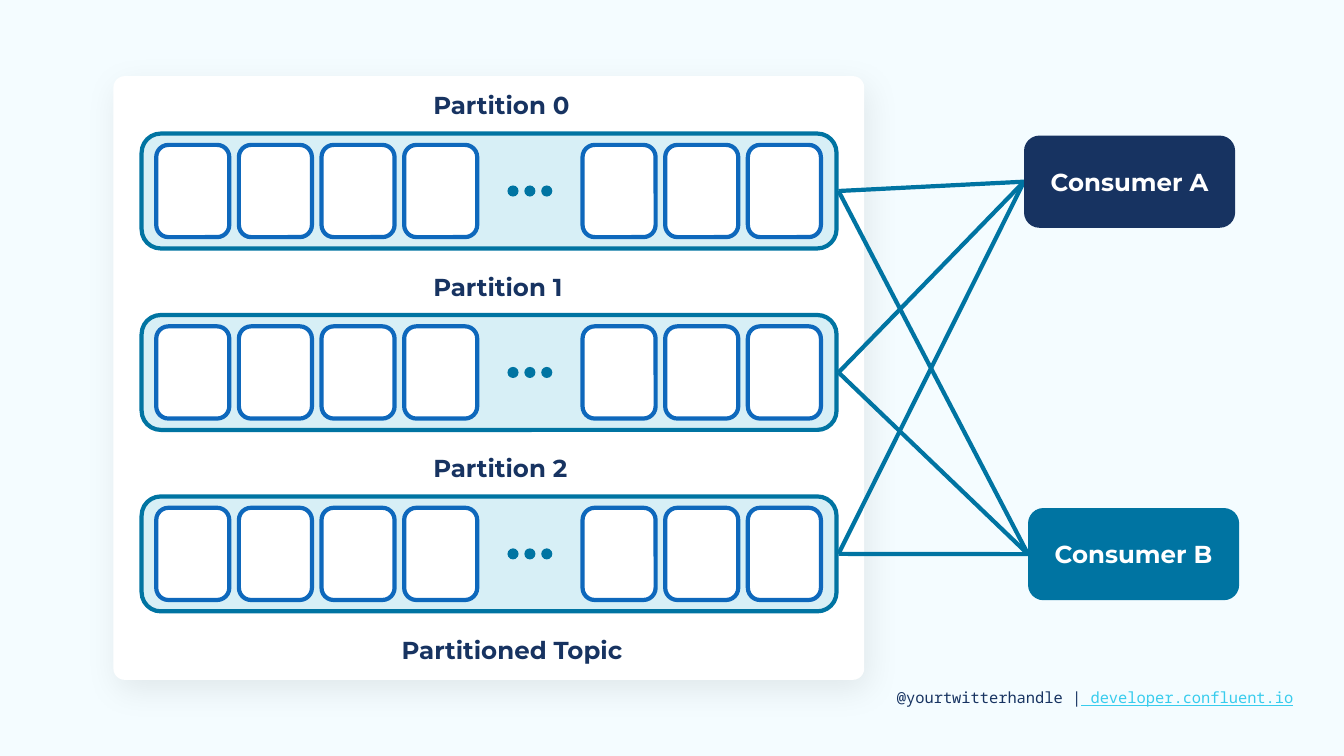
"""Build a slide of a three-partition topic read by two consumers."""
from lxml import etree
from pptx import Presentation
from pptx import util as u
from pptx.dml.color import RGBColor
from pptx.enum import shapes, text
from pptx.oxml.ns import qn

W, H = 26.67, 15
COLORS = {"bg": "F4FCFF", "white": "FFFFFF", "navy": "173361", "teal": "0074A2",
          "blue": "0E68BC", "pale": "D7EFF6", "link": "38CCED", "black": "000000"}
SANS, MONO = "Montserrat", "Noto Sans Mono"
KIND = shapes.MSO_SHAPE

PARTITIONS = [("Partition 0", 3.06), ("Partition 1", 2.86), ("Partition 2", 2.86)]
CONSUMERS = [("Consumer A", "navy", 20.32, 2.69), ("Consumer B", "teal", 20.4, 10.08)]
TOPIC = "Partitioned Topic"
FOOTER = [("@yourtwitterhandle |", "navy", False), (" developer.confluent.io", "link", True)]

PANEL = (2.25, 1.51, 14.9, 11.98)
LANE_X, LANE_Y, LANE_W, LANE_H, LANE_STEP = 2.81, 2.65, 13.79, 2.28, 3.6
CELL_W, CELL_H, CELL_STEP = 1.45, 1.83, 1.64
CELL_GROUPS = [(3.1, 4), (11.56, 3)]
DOT, DOT_X, DOT_STEP, DOTS = 0.22, 10.07, 0.335, 3
LABEL_X, LABEL_RISE, LABEL_H = 8.5, 0.96, 0.79
CONSUMER_W, HUB_X = 4.19, 16.64

prs = Presentation()
prs.slide_width, prs.slide_height = u.Inches(W), u.Inches(H)
s = prs.slides.add_slide(prs.slide_layouts[6])


def rgb(name):
    return RGBColor.from_string(COLORS[name])


def inches(*values):
    return [u.Inches(v) for v in values]


def add_shape(kind, box, fill, line=None, adj=None):
    sp = s.shapes.add_shape(kind, *inches(*box))
    sp.shadow.inherit = False
    sp.fill.solid()
    sp.fill.fore_color.rgb = rgb(fill)
    if line:
        sp.line.color.rgb = rgb(line)
        sp.line.width = u.Pt(6)
    else:
        sp.line.fill.background()
    if adj is not None:
        sp.adjustments[0] = adj
    return sp


def write(sp, runs, size=35, font=SANS, bold=True, align=text.PP_ALIGN.LEFT,
          anchor=text.MSO_ANCHOR.TOP, fit=text.MSO_AUTO_SIZE.SHAPE_TO_FIT_TEXT):
    tf = sp.text_frame
    tf.word_wrap, tf.auto_size, tf.vertical_anchor = True, fit, anchor
    tf.margin_left = tf.margin_right = tf.margin_top = tf.margin_bottom = u.Inches(0.1)
    p = tf.paragraphs[0]
    p.alignment = align
    for words, color, underline in runs:
        r = p.add_run()
        r.text = words
        r.font.size, r.font.name, r.font.bold = u.Pt(size), font, bold
        r.font.color.rgb = rgb(color)
        if underline:
            r.font.underline = True


def add_label(words, box, **style):
    write(s.shapes.add_textbox(*inches(*box)), words, **style)


def add_shadow(sp, color, alpha, blur, distance, angle):
    effects = sp._element.spPr.find(qn("a:effectLst"))
    shadow = etree.SubElement(effects, qn("a:outerShdw"), blurRad=str(u.Pt(blur)),
                              dist=str(u.Pt(distance)), dir=str(angle * 60000),
                              algn="bl", rotWithShape="0")
    tint = etree.SubElement(shadow, qn("a:srgbClr"), val=COLORS[color])
    etree.SubElement(tint, qn("a:alpha"), val=str(alpha * 1000))


def add_link(start, end):
    line = s.shapes.add_connector(shapes.MSO_CONNECTOR.STRAIGHT, *inches(*start, *end))
    line.line.color.rgb = rgb("teal")
    line.line.width = u.Pt(6)
    etree.SubElement(line._element.spPr, qn("a:effectLst"))


def add_partition(name, label_w, top):
    middle = top + LANE_H / 2
    add_shape(KIND.FLOWCHART_ALTERNATE_PROCESS, (LANE_X, top, LANE_W, LANE_H), "pale", "teal")
    for left, count in CELL_GROUPS:
        for i in range(count):
            box = (left + i * CELL_STEP, middle - CELL_H / 2, CELL_W, CELL_H)
            add_shape(KIND.ROUNDED_RECTANGLE, box, "white", "blue", 0.167)
    add_label([(name, "navy", False)], (LABEL_X, top - LABEL_RISE, label_w, LABEL_H))
    for i in range(DOTS):
        add_shape(KIND.OVAL, (DOT_X + i * DOT_STEP, middle - DOT / 2, DOT, DOT), "teal")


s.background.fill.solid()
s.background.fill.fore_color.rgb = rgb("bg")
add_label(FOOTER, (17.7, 13.56, 8.14, 0.57), size=22, font=MONO, bold=False)
panel = add_shape(KIND.ROUNDED_RECTANGLE, PANEL, "white", adj=0.019)
add_shadow(panel, "black", alpha=8, blur=48.4, distance=16.5, angle=68)

lane_tops = [LANE_Y + i * LANE_STEP for i in range(len(PARTITIONS))]
for (name, label_w), top in zip(PARTITIONS, lane_tops):
    add_partition(name, label_w, top)
add_label([(TOPIC, "navy", False)], (7.87, 12.49, 4.74, LABEL_H))

for top in lane_tops:
    for _, _, left, consumer_top in CONSUMERS:
        add_link((HUB_X, top + LANE_H / 2), (left, consumer_top + CELL_H / 2))
for name, fill, left, top in CONSUMERS:
    box = add_shape(KIND.ROUNDED_RECTANGLE, (left, top, CONSUMER_W, CELL_H), fill, adj=0.167)
    write(box, [(name, "white", False)], align=text.PP_ALIGN.CENTER,
          anchor=text.MSO_ANCHOR.MIDDLE, fit=text.MSO_AUTO_SIZE.NONE)

prs.save("out.pptx")
